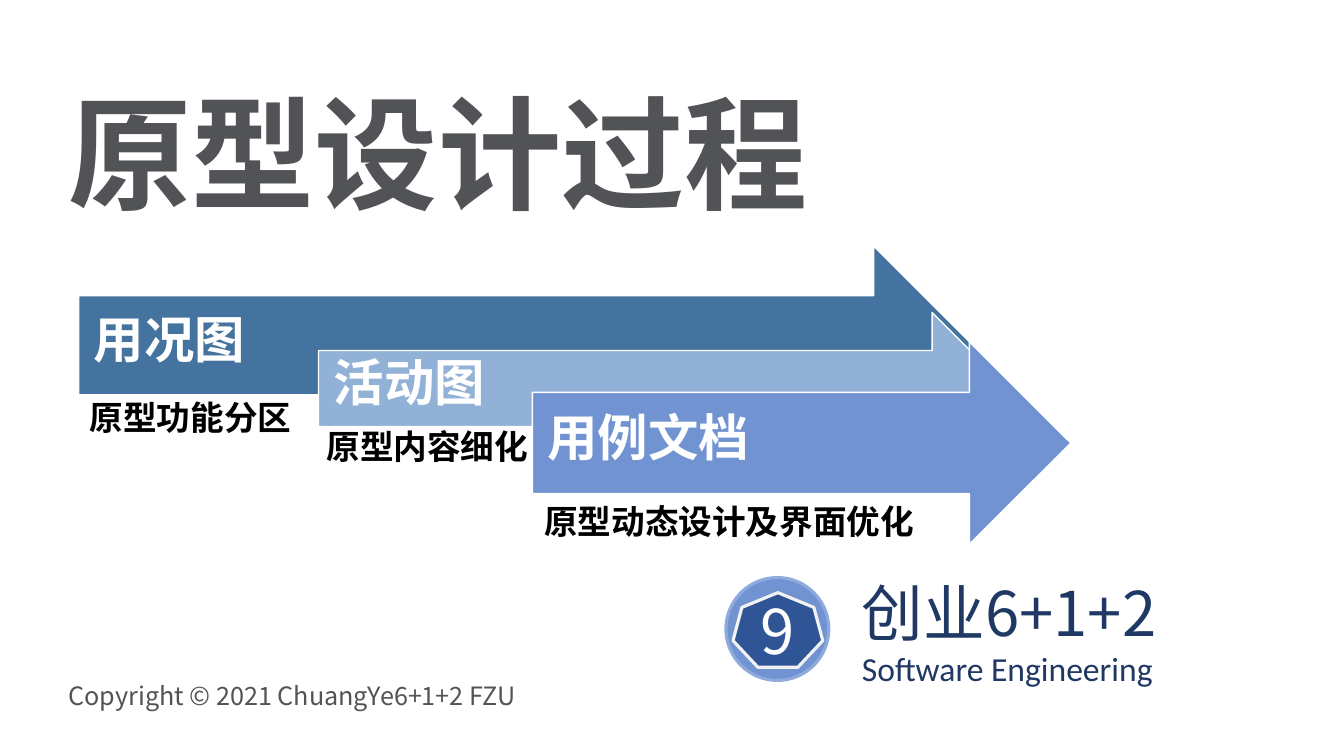
from pptx import Presentation
from pptx.dml.color import RGBColor
from pptx.enum.shapes import MSO_SHAPE
from pptx.enum.text import MSO_ANCHOR, PP_ALIGN
from pptx.oxml.ns import qn
from pptx.util import Pt
from lxml import etree

PX = 9144
ARROW, CIRCLE, HEPTAGON = MSO_SHAPE.RIGHT_ARROW, MSO_SHAPE.OVAL, MSO_SHAPE.HEPTAGON
TOP, MIDDLE = MSO_ANCHOR.TOP, MSO_ANCHOR.MIDDLE
LEFT, CENTER = PP_ALIGN.LEFT, PP_ALIGN.CENTER
CJK, LATIN = "Noto Sans CJK SC", "Calibri"
WHITE, GREY, NAVY, BLACK, BLUE = "FFFFFF", "515356", "203864", "000000", "7193D1"


def color(value):
    return RGBColor.from_string(value)


class SlideBuilder:
    def __init__(self, deck):
        self.slide = deck.slides.add_slide(deck.slide_layouts[5])

    def style(self, paragraph, size, ink, bold=False, font=CJK, align=LEFT, spacing=1.0):
        paragraph.alignment = align
        paragraph.line_spacing = spacing
        for run in paragraph.runs:
            run.font.name = font
            run.font.size = Pt(size)
            run.font.bold = bold
            run.font.color.rgb = color(ink)
            east_asian = etree.SubElement(run.font._element, qn("a:ea"))
            east_asian.set("typeface", font)

    def frame(self, shape, text, anchor=TOP, insets=(10, 5, 10, 5)):
        frame = shape.text_frame
        frame.text = text
        frame.word_wrap = True
        frame.vertical_anchor = anchor
        (frame.margin_left, frame.margin_top,
         frame.margin_right, frame.margin_bottom) = [inset * PX for inset in insets]
        return frame.paragraphs

    def title(self, box, text, size, ink):
        heading = self.slide.shapes.title
        heading.left, heading.top, heading.width, heading.height = [n * PX for n in box]
        self.style(self.frame(heading, text, MIDDLE)[0], size, ink, bold=True, spacing=0.9)

    def text(self, box, text, insets=(10, 5, 10, 5)):
        label = self.slide.shapes.add_textbox(*[n * PX for n in box])
        return self.frame(label, text, insets=insets)

    def shape(self, kind, box, fill, line, weight):
        shape = self.slide.shapes.add_shape(kind, *[n * PX for n in box])
        shape.shadow.inherit = False
        shape.fill.solid()
        shape.fill.fore_color.rgb = color(fill)
        shape.line.color.rgb = color(line)
        shape.line.width = Pt(weight)
        return shape

    def stage(self, name, detail, arrow_box, detail_box, fill):
        arrow = self.shape(ARROW, arrow_box, fill, WHITE, 1)
        heading = self.frame(arrow, name, MIDDLE, (15, 15, 28, 21))[0]
        self.style(heading, 36, WHITE, bold=True, spacing=0.9)
        caption = self.text(detail_box, detail, (10, 10, 10, 10))[0]
        self.style(caption, 24, BLACK, bold=True, spacing=0.9)

    def badge(self, number):
        self.shape(CIRCLE, (720, 573, 102, 102), BLUE, "8FAADC", 2.25)
        core = self.shape(HEPTAGON, (727, 588, 89, 74), "2F5597", "F2F2F2", 2.25)
        self.style(self.frame(core, number, MIDDLE)[0], 44, WHITE, align=CENTER)


STAGES = [
    ("用况图", "原型功能分区", (78, 244, 887, 197), (79, 388, 269, 114), "43739E"),
    ("活动图", "原型内容细化", (316, 310, 684, 151), (314, 417, 321, 146), "91B1D6"),
    ("用例文档", "原型动态设计及界面优化", (528, 339, 534, 201), (530, 491, 485, 107), BLUE),
]


def main():
    deck = Presentation()
    deck.slide_width, deck.slide_height = 1333 * PX, 750 * PX
    page = SlideBuilder(deck)

    copyright_line = page.text((58, 670, 504, 40), "Copyright © 2021 ChuangYe6+1+2 FZU")[0]
    page.style(copyright_line, 18, GREY)
    team, course = page.text((845, 565, 442, 125), "创业6+1+2\nSoftware Engineering")
    page.style(team, 44, NAVY)
    page.style(course, 24, NAVY, font=LATIN)
    page.badge("9")

    page.title((58, 80, 761, 158), "原型设计过程", 88, GREY)
    for stage in STAGES:
        page.stage(*stage)

    deck.save("out.pptx")


if __name__ == "__main__":
    main()
